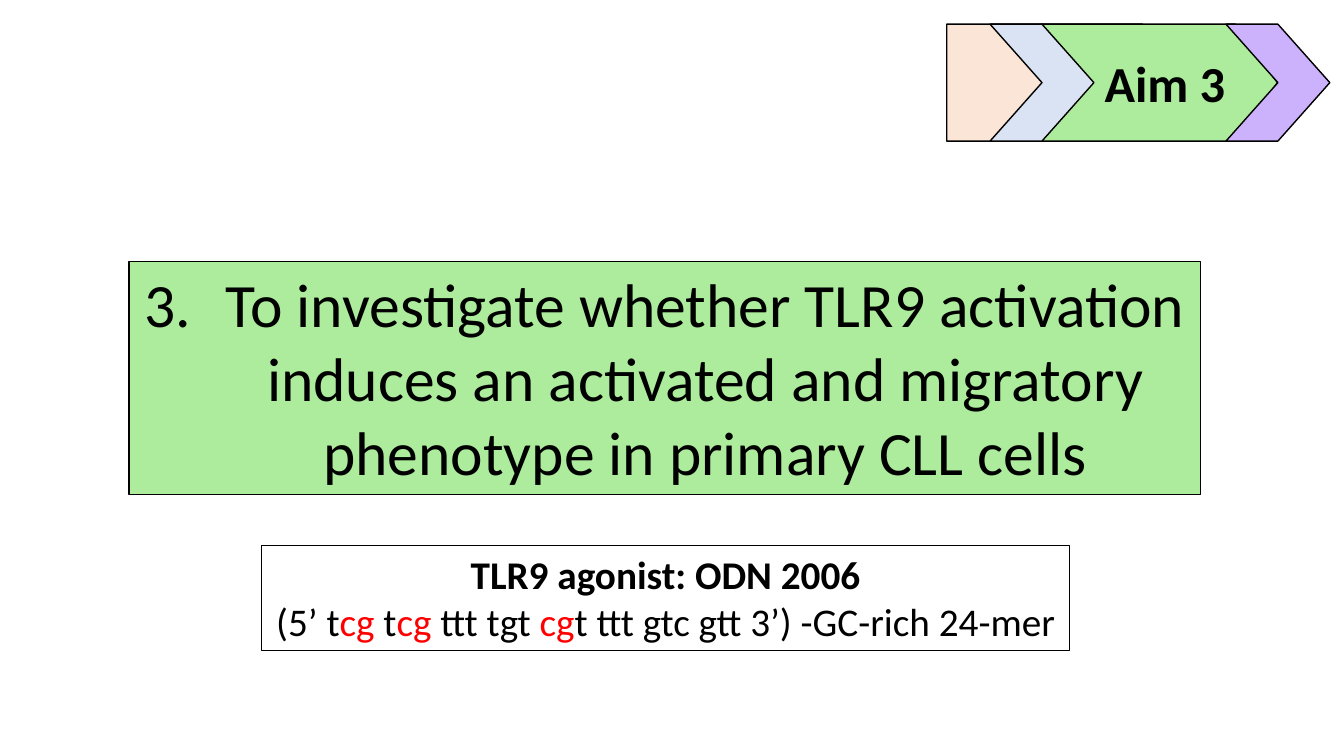
from lxml.etree import SubElement
from pptx import Presentation
from pptx.dml.color import RGBColor
from pptx.enum.shapes import MSO_SHAPE as Preset
from pptx.enum.text import MSO_ANCHOR as Anchor, MSO_AUTO_SIZE as AutoSize, PP_ALIGN as Align
from pptx.oxml.ns import qn
from pptx.util import Inches, Pt

BLACK, RED, GREEN = "000000", "FF0000", "ADEC9C"


def color(hex_string):
    """Turn a hex string into a colour."""
    return RGBColor.from_string(hex_string)


def add_outlined(shapes, preset, box, fill, line_width):
    """Add a black-outlined shape in the box, unfilled if fill is None."""
    shape = shapes.add_shape(preset, *[Inches(value) for value in box])
    shape.shadow.inherit = False
    if fill:
        shape.fill.solid()
        shape.fill.fore_color.rgb = color(fill)
    else:
        shape.fill.background()
    shape.line.color.rgb = color(BLACK)
    shape.line.width = Pt(line_width)
    return shape


def write_runs(paragraph, pieces, size, align, bold=False):
    """Write (text, colour) pieces into the paragraph."""
    paragraph.alignment = align
    for text, hex_string in pieces:
        run = paragraph.add_run()
        run.text = text
        run.font.name = "Calibri"
        run.font.size = Pt(size)
        run.font.bold = bold
        run.font.color.rgb = color(hex_string)


def number_paragraph(paragraph, start, indent):
    """Give the paragraph a hanging automatic number."""
    properties = paragraph._p.get_or_add_pPr()
    properties.set("marL", str(Inches(indent)))
    properties.set("indent", str(-Inches(indent)))
    SubElement(properties, qn("a:buFont"), typeface="+mj-lt")
    SubElement(properties, qn("a:buAutoNum"), type="arabicPeriod", startAt=str(start))


def add_aim_tracker(slide, left, top, height):
    """Draw the row of arrows that marks the current aim."""
    shapes = slide.shapes.add_group_shape().shapes
    step = 1.03
    add_outlined(shapes, Preset.PENTAGON, (left, top, 2.52, height), "FBE5D6", 1)
    aim = add_outlined(shapes, Preset.CHEVRON, (left + 0.94, top, 2.34, height), GREEN, 1)
    aim.adjustments[0] = 0.36
    frame = aim.text_frame
    frame.vertical_anchor = Anchor.MIDDLE
    write_runs(frame.paragraphs[0], [("Aim 3", BLACK)], 36, Align.RIGHT, bold=True)
    for offset, fill in ((0.43, "DAE3F3"), (2.77, "CCB2FC")):
        add_outlined(shapes, Preset.CHEVRON, (left + offset, top, step, height), fill, 1)


def add_aim_statement(slide, box):
    """Add the numbered aim in its green panel."""
    frame = add_outlined(slide.shapes, Preset.RECTANGLE, box, GREEN, 0.75).text_frame
    frame.word_wrap = True
    frame.auto_size = AutoSize.SHAPE_TO_FIT_TEXT
    frame.vertical_anchor = Anchor.TOP
    paragraph = frame.paragraphs[0]
    number_paragraph(paragraph, 3, 0.81)
    statement = ("To investigate whether TLR9 activation induces an activated "
                 "and migratory phenotype in primary CLL cells")
    write_runs(paragraph, [(statement, BLACK)], 44, Align.CENTER)


def add_agonist_box(slide, box):
    """Add the agonist name and its sequence with red CpG sites."""
    frame = add_outlined(slide.shapes, Preset.RECTANGLE, box, None, 0.75).text_frame
    frame.word_wrap = False
    frame.auto_size = AutoSize.SHAPE_TO_FIT_TEXT
    frame.vertical_anchor = Anchor.TOP
    sequence = [("(5’ t", BLACK), ("cg ", RED), ("t", BLACK), ("cg ", RED),
                ("ttt tgt ", BLACK), ("cg", RED),
                ("t ttt gtc gtt 3’) -GC-rich 24-mer", BLACK)]
    title = [("TLR9 agonist: ODN 2006", BLACK)]
    write_runs(frame.paragraphs[0], title, 28, Align.CENTER, bold=True)
    write_runs(frame.add_paragraph(), sequence, 28, Align.CENTER)


def main():
    """Build and save the slide."""
    presentation = Presentation()
    presentation.slide_width = Inches(13.33)
    presentation.slide_height = Inches(7.5)
    slide = presentation.slides.add_slide(presentation.slide_layouts[6])
    add_aim_statement(slide, (1.28, 2.59, 10.63, 2.32))
    add_aim_tracker(slide, 9.39, 0.24, 1.16)
    add_agonist_box(slide, (2.59, 5.41, 8.02, 1.04))
    presentation.save("out.pptx")


if __name__ == "__main__":
    main()
